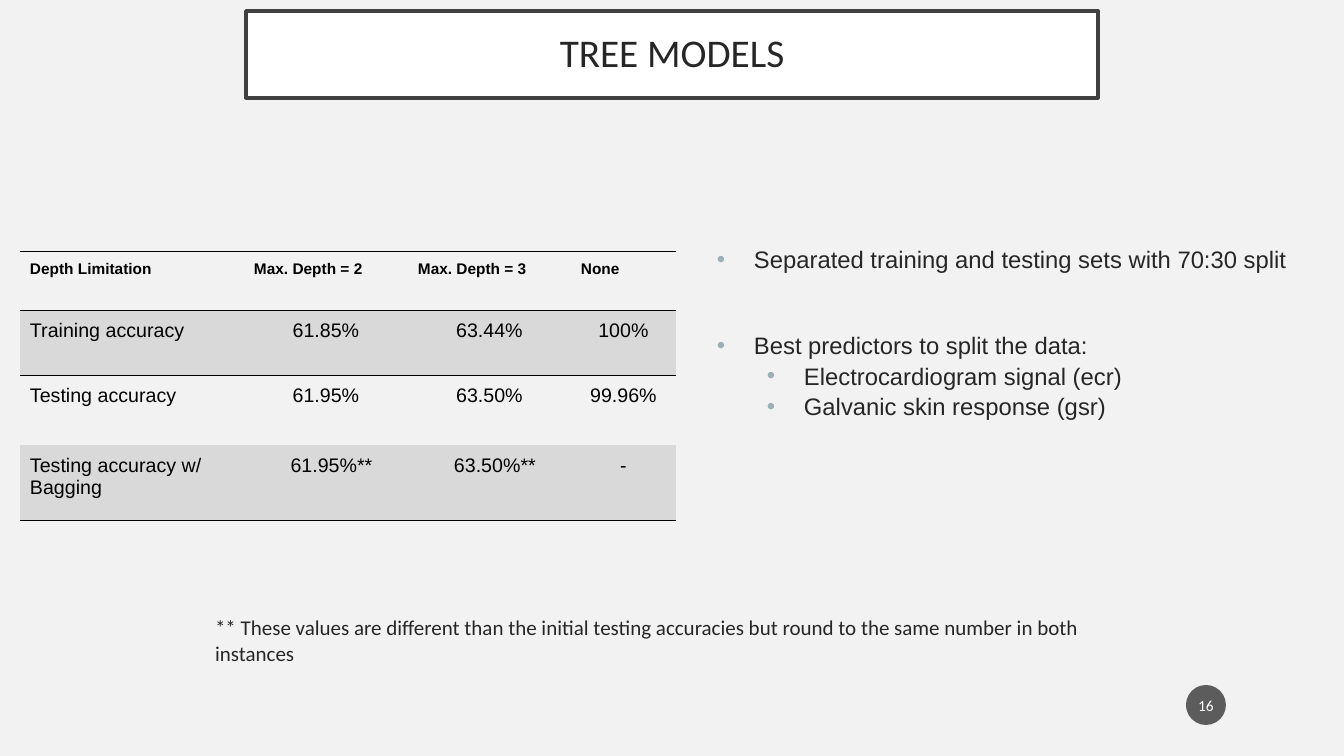
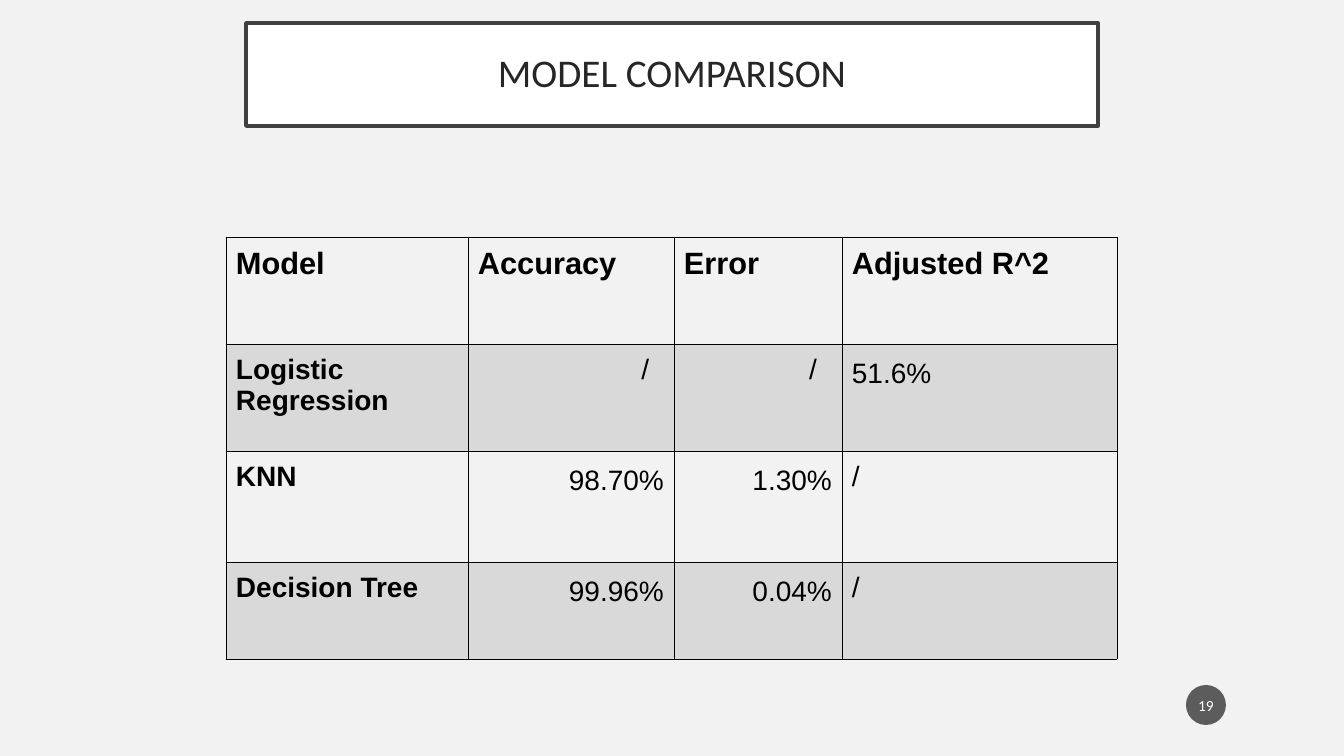
from lxml import etree
from pptx import Presentation
from pptx.dml.color import RGBColor
from pptx.enum import shapes, text
from pptx.oxml.ns import qn
from pptx.util import Emu, Pt

HUE = {
    "page": "F2F2F2", "white": "FFFFFF", "frame": "404040", "ink": "262626",
    "black": "000000", "band": "D9D9D9", "dot": "9BAFB5", "disc": "1D1D1D",
}
HEAD, BODY = "Calibri", "Arial"
LEFT, MID, RIGHT = text.PP_ALIGN.LEFT, text.PP_ALIGN.CENTER, text.PP_ALIGN.RIGHT

SLIDES = [
    {
        "title": "TREE MODELS", "top": 11, "tall": 87, "page": "16",
        "table": {
            "at": (20, 251), "cols": [224, 164, 163, 105], "rows": [59, 65, 70, 75],
            "sizes": (11, 14), "aligns": [LEFT, MID, MID, MID],
            "bold": False, "lead": 1, "rules": {0, 1, 2, 4}, "grid": False,
            "cells": [
                ["Depth Limitation", "Max. Depth = 2", "Max. Depth = 3", "None"],
                ["Training accuracy", "61.85%", "63.44%", "100%"],
                ["Testing accuracy", "61.95%", "63.50%", "99.96%"],
                ["Testing accuracy w/ Bagging", "61.95%**", "63.50%**", "-"],
            ],
        },
        "points": [
            (0, 0, "Separated training and testing sets with 70:30 split"),
            (0, 40, "Best predictors to split the data:"),
            (1, 0, "Electrocardiogram signal (ecr)"),
            (1, 0, "Galvanic skin response (gsr)"),
        ],
        "note": "** These values are different than the initial testing accuracies "
                "but round to the same number in both instances",
    },
    {
        "title": "MODEL COMPARISON", "top": 23, "tall": 103, "page": "19",
        "table": {
            "at": (226, 237), "cols": [242, 206, 168, 275], "rows": [107, 107, 111, 97],
            "sizes": (22, 20), "aligns": [LEFT, RIGHT, RIGHT, LEFT],
            "bold": True, "lead": 1.15, "rules": {0, 1, 2, 3, 4}, "grid": True,
            "cells": [
                ["Model", "Accuracy", "Error", "Adjusted R^2"],
                ["Logistic Regression", "/", "/", "51.6%"],
                ["KNN", "98.70%", "1.30%", "/"],
                ["Decision Tree", "99.96%", "0.04%", "/"],
            ],
        },
    },
]


def px(n):
    return Emu(round(n * 914400 / 100.8))


def rgb(name):
    return RGBColor.from_string(HUE[name])


def style(para, size, font, hue, bold=False, align=LEFT):
    para.alignment = align
    for run in para.runs:
        run.font.size, run.font.name, run.font.bold = Pt(size), font, bold
        run.font.color.rgb = rgb(hue)


def inset(item, left, top, right, low):
    item.margin_left, item.margin_top = px(left), px(top)
    item.margin_right, item.margin_bottom = px(right), px(low)


def sub(node, tag, **attrs):
    return etree.SubElement(node, qn(tag), attrs)


def add_block(slide, kind, box, fill, words, size, hue, pad):
    shape = slide.shapes.add_shape(kind, *map(px, box))
    shape.shadow.inherit = False
    shape.fill.solid()
    shape.fill.fore_color.rgb = rgb(fill)
    shape.line.fill.background()
    frame = shape.text_frame
    inset(frame, *pad)
    frame.word_wrap = True
    frame.vertical_anchor = text.MSO_ANCHOR.MIDDLE
    frame.text = words
    style(frame.paragraphs[0], size, HEAD, hue, align=MID)
    return shape


def add_title(slide, words, top, tall):
    shape = add_block(slide, shapes.MSO_SHAPE.RECTANGLE, (246, top, 852, tall),
                      "white", words, 28, "ink", (20, 20, 20, 20))
    shape.line.color.rgb = rgb("frame")
    shape.line.width = Pt(2.5)
    shape.text_frame.paragraphs[0].line_spacing = 0.9


def add_page(slide, words):
    disc = add_block(slide, shapes.MSO_SHAPE.OVAL, (1186, 685, 40, 40),
                     "disc", words, 11, "white", (2, 5, 2, 5))
    tint = disc.fill._xPr.find(qn("a:solidFill"))[0]
    sub(tint, "a:alpha", val="70000")


def add_box(slide, box, pad):
    frame = slide.shapes.add_textbox(*map(px, box)).text_frame
    frame.word_wrap = True
    inset(frame, *pad)
    return frame


def add_points(slide, points):
    frame = add_box(slide, (694, 238, 626, 280), (10, 5, 10, 5))
    frame.text = "\n".join(words for _, _, words in points)
    for para, (level, gap, _) in zip(frame.paragraphs, points):
        style(para, 17, BODY, "ink")
        para.level = level
        para.space_before = Pt(gap)
        para.line_spacing = 1.06
        props = para._p.get_or_add_pPr()
        props.set("marL", str(px(50 * (level + 1))))
        props.set("indent", str(px(-37)))
        sub(sub(props, "a:buClr"), "a:srgbClr", val=HUE["dot"])
        sub(props, "a:buFont", typeface=BODY)
        sub(props, "a:buChar", char="•")


def add_note(slide, words):
    frame = add_box(slide, (205, 605, 967, 56), (10, 10, 10, 10))
    frame.text = words
    style(frame.paragraphs[0], 15, HEAD, "ink")


def set_edges(cell, shown):
    props = cell._tc.get_or_add_tcPr()
    for spot, side in enumerate("LRTB"):
        line = etree.Element(qn("a:ln" + side), w=str(Pt(0.5)))
        if side in shown:
            sub(sub(line, "a:solidFill"), "a:srgbClr", val=HUE["black"])
        else:
            sub(line, "a:noFill")
        props.insert(spot, line)


def fill_cell(cell, words, row, col, data):
    head = row == 0
    align = LEFT if head else data["aligns"][col]
    left = 21 if words.endswith("**") else 10
    right = 25 if words == "/" and align == RIGHT else 10
    inset(cell, left, 10, right, 10)
    cell.text_frame.text = words
    para = cell.text_frame.paragraphs[0]
    bold = head or (data["bold"] and col == 0)
    style(para, data["sizes"][not head], BODY, "black", bold, align)
    if "%" in words:
        para.line_spacing = data["lead"]
    if row % 2:
        cell.fill.solid()
        cell.fill.fore_color.rgb = rgb("band")
    else:
        cell.fill.background()
    shown = "LR" if data["grid"] else ""
    shown += "T" if row in data["rules"] else ""
    shown += "B" if row + 1 in data["rules"] else ""
    set_edges(cell, shown)


def add_grid(slide, data):
    cols, rows = data["cols"], data["rows"]
    box = (*data["at"], sum(cols), sum(rows))
    table = slide.shapes.add_table(len(rows), len(cols), *map(px, box)).table
    table.first_row = table.horz_banding = False
    for col, wide in zip(table.columns, cols):
        col.width = px(wide)
    for row, tall in zip(table.rows, rows):
        row.height = px(tall)
    for r, line in enumerate(data["cells"]):
        for c, words in enumerate(line):
            fill_cell(table.cell(r, c), words, r, c, data)


def main():
    deck = Presentation()
    deck.slide_width, deck.slide_height = px(1344), px(756)
    back = deck.slide_master.background.fill
    back.solid()
    back.fore_color.rgb = rgb("page")
    for data in SLIDES:
        slide = deck.slides.add_slide(deck.slide_layouts[6])
        add_title(slide, data["title"], data["top"], data["tall"])
        if "points" in data:
            add_points(slide, data["points"])
        if "note" in data:
            add_note(slide, data["note"])
        add_page(slide, data["page"])
        add_grid(slide, data["table"])
    deck.save("out.pptx")


if __name__ == "__main__":
    main()
